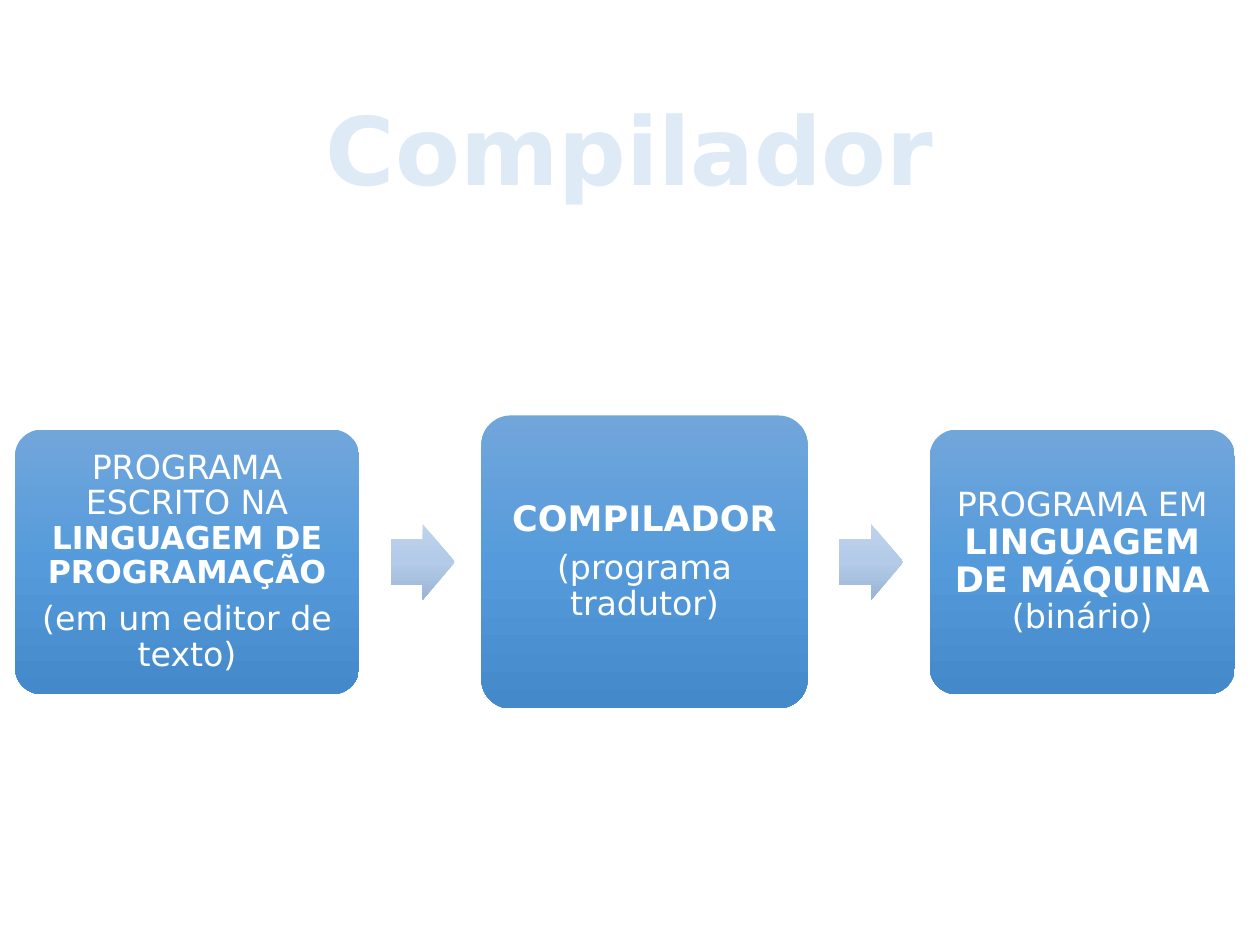
import copy
from dataclasses import dataclass

import pptx
import pptx.dml.color
import pptx.enum.shapes
import pptx.enum.text
import pptx.util

WIDTH, HEIGHT = 10, 7.5
FONT = "DejaVu Sans"
SHAPE = pptx.enum.shapes.MSO_SHAPE
BOX_STOPS = ("71A6DB", "559BDB", "448ACA")
ARROW_STOPS = ("C0D2EB", "B3CBE9", "9BB4D3")

# Flow row, as shares of the slide's width and height
LEFT = 0.012
MIDDLE = 4.46 / HEIGHT
GAP_BEFORE_ARROW, GAP_AFTER_ARROW = 0.025, 0.021
ARROW_W, ARROW_H = 0.051, 0.08


@dataclass
class Run:
    text: str
    size: float
    bold: bool = False


@dataclass
class Step:
    width: float
    height: float
    paragraphs: list[list[Run]]


STEPS = [
    Step(0.273, 0.28, [
        [Run("PROGRAMA ESCRITO NA ", 19), Run("LINGUAGEM DE PROGRAMAÇÃO", 18, True)],
        [Run("(em um editor de texto)", 19)],
    ]),
    Step(0.259, 0.31, [
        [Run("COMPILADOR", 20, True)],
        [Run("(programa tradutor)", 19)],
    ]),
    Step(0.242, 0.28, [
        [Run("PROGRAMA EM ", 19), Run("LINGUAGEM DE MÁQUINA ", 20, True), Run("(binário)", 19)],
    ]),
]


def color(value: str) -> pptx.dml.color.RGBColor:
    return pptx.dml.color.RGBColor.from_string(value)


def frame(x: float, middle: float, w: float, h: float) -> list[int]:
    """Turn shares of the slide, centred on a row, into left, top, width, height."""
    lengths = (x * WIDTH, (middle - h / 2) * HEIGHT, w * WIDTH, h * HEIGHT)
    return [pptx.util.Inches(length) for length in lengths]


def add_gradient_shape(slide, kind, place: list[int], adjustments: tuple[float, ...],
                       stops: tuple[str, ...]):
    sp = slide.shapes.add_shape(kind, *place)
    sp.shadow.inherit = False
    sp.line.fill.background()
    for i, value in enumerate(adjustments):
        sp.adjustments[i] = value
    fill = sp.fill
    fill.gradient()
    fill.gradient_angle = 270
    # The default gradient has two stops: add a third between them
    first = fill._fill._gradFill.gsLst[0]
    first.addnext(copy.deepcopy(first))
    for i, (stop, value) in enumerate(zip(fill.gradient_stops, stops)):
        stop.position = i / (len(stops) - 1)
        stop.color.rgb = color(value)
    return sp


def write_text(sp, paragraphs: list[list[Run]], text_color: str, line_spacing: float,
               space_after: float) -> None:
    tf = sp.text_frame
    tf.word_wrap = True
    tf.vertical_anchor = pptx.enum.text.MSO_ANCHOR.MIDDLE
    tf.margin_left = tf.margin_right = tf.margin_top = tf.margin_bottom = pptx.util.Inches(0.08)
    for i, runs in enumerate(paragraphs):
        p = tf.add_paragraph() if i else tf.paragraphs[0]
        p.alignment = pptx.enum.text.PP_ALIGN.CENTER
        p.line_spacing = line_spacing
        p.space_after = pptx.util.Pt(space_after)
        p.font.name = FONT
        p.font.color.rgb = color(text_color)
        for run in runs:
            r = p.add_run()
            r.text = run.text
            r.font.name = FONT
            r.font.color.rgb = color(text_color)
            r.font.size = pptx.util.Pt(run.size)
            r.font.bold = run.bold


def main() -> None:
    prs = pptx.Presentation()
    prs.slide_width = pptx.util.Inches(WIDTH)
    prs.slide_height = pptx.util.Inches(HEIGHT)
    slide = prs.slides.add_slide(prs.slide_layouts[6])

    # Title
    title = slide.shapes.add_textbox(*frame(0.05, 0.156, 0.9, 0.16))
    write_text(title, [[Run("Compilador", 54, True)]], "DEEAF6", 1, 0)

    # Steps from left to right, with an arrow before each one but the first
    x = LEFT
    for i, step in enumerate(STEPS):
        if i:
            x += GAP_BEFORE_ARROW
            add_gradient_shape(slide, SHAPE.RIGHT_ARROW, frame(x, MIDDLE, ARROW_W, ARROW_H),
                               (0.6, 0.5), ARROW_STOPS)
            x += ARROW_W + GAP_AFTER_ARROW
        box = add_gradient_shape(slide, SHAPE.ROUNDED_RECTANGLE,
                                 frame(x, MIDDLE, step.width, step.height), (0.1,), BOX_STOPS)
        write_text(box, step.paragraphs, "FFFFFF", 0.9, 6.5)
        x += step.width

    prs.save("out.pptx")


if __name__ == "__main__":
    main()
